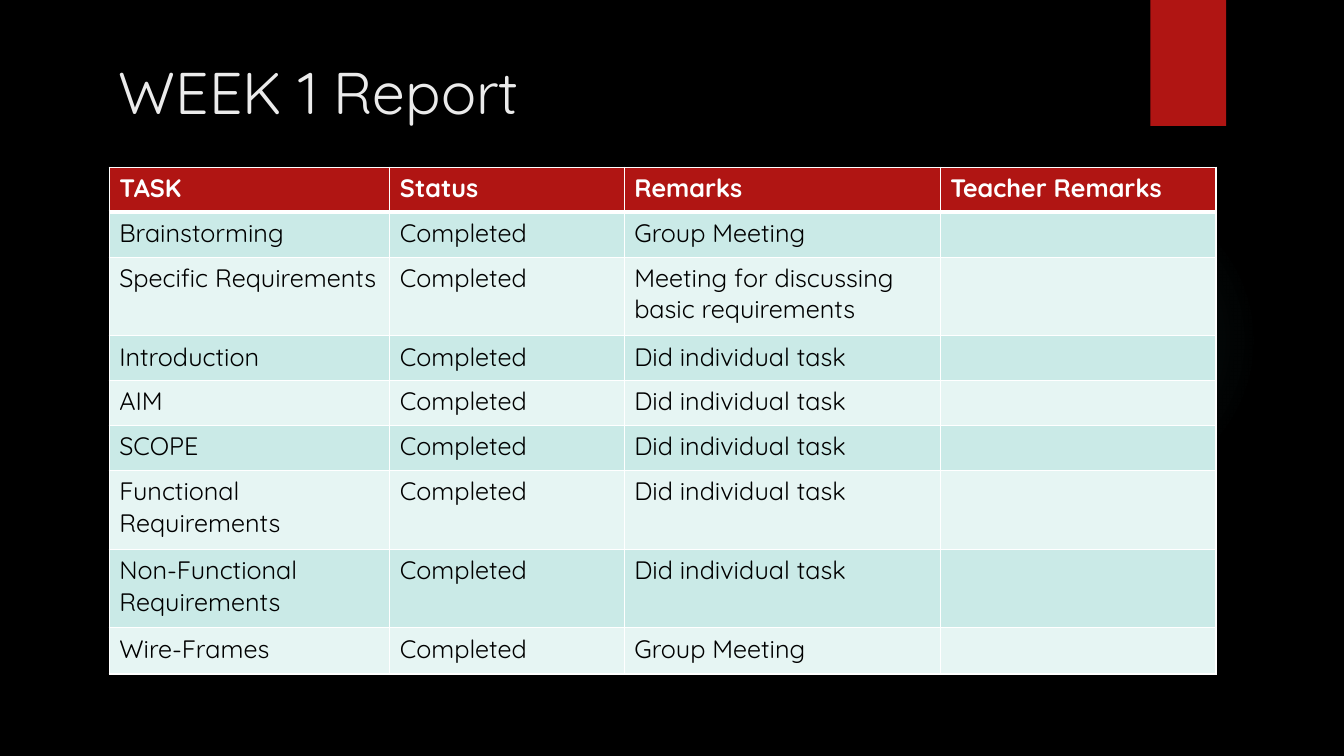
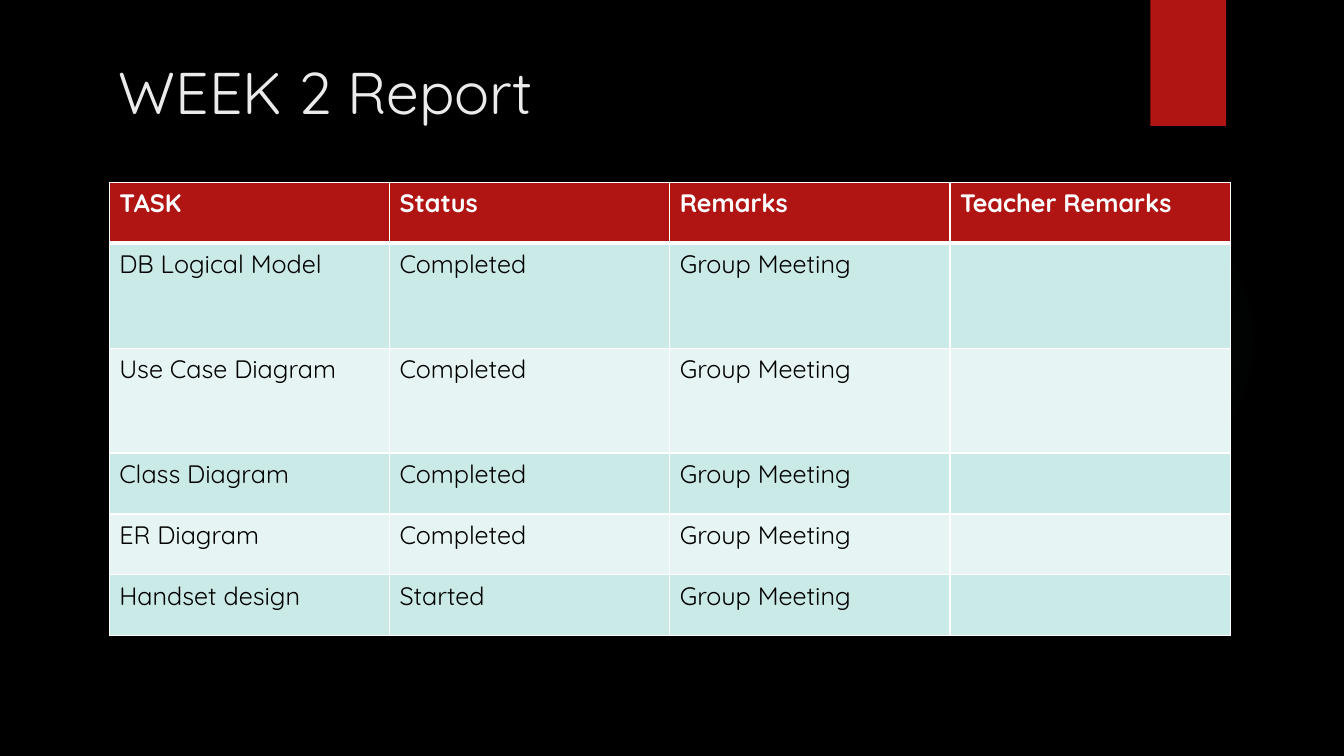
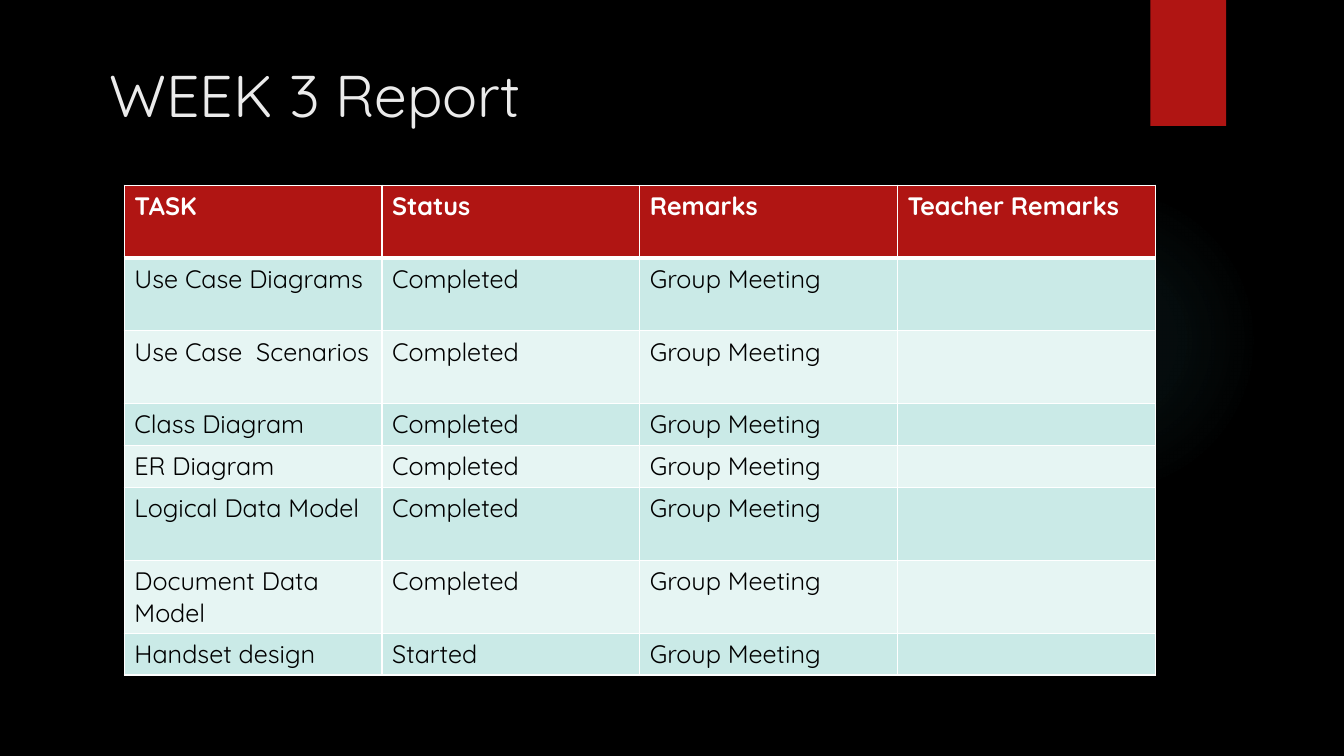
"""Build the three weekly report slides, each with a title and a task table."""

from dataclasses import dataclass

from pptx import Presentation
from pptx.dml.color import RGBColor
from pptx.enum.shapes import MSO_AUTO_SHAPE_TYPE as ShapeType
from pptx.enum.text import MSO_VERTICAL_ANCHOR as Anchor
from pptx.oxml import parse_xml
from pptx.oxml.ns import nsdecls
from pptx.slide import Slide
from pptx.table import _Cell as Cell
from pptx.text.text import TextFrame
from pptx.util import Pt

COLORS = {
    "background": "000000",
    "accent": "B01513",
    "glow": "50B9C1",
    "title": "EBEBEB",
    "header_text": "FFFFFF",
    "body_text": "000000",
    "border": "FFFFFF",
    "odd_row": "CAEAE7",
    "even_row": "E6F5F3",
}
FONT = "Quicksand"
HEADINGS = ("TASK", "Status", "Remarks", "Teacher Remarks")
GLOW_STOPS = ((0, 7), (36, 6), (69, 0))
THIN, THICK = 1, 3
GROUP, SOLO = "Group Meeting", "Did individual task"


@dataclass(frozen=True)
class Task:
    name: str
    height: float
    remarks: str = GROUP
    status: str = "Completed"


@dataclass(frozen=True)
class Report:
    title: str
    title_at: tuple[float, float]
    table_at: tuple[float, float]
    columns: tuple[float, ...]
    header_height: float
    tasks: tuple[Task, ...]


REPORTS = (
    Report(
        "WEEK 1 Report", (77.8, 17.3), (78, 119.5), (200.5, 167.4, 225.7, 197), 32.1,
        (
            Task("Brainstorming", 32.1),
            Task("Specific Requirements", 56.2, "Meeting for discussing basic requirements"),
            Task("Introduction", 32.1, SOLO),
            Task("AIM", 32.1, SOLO),
            Task("SCOPE", 32.1, SOLO),
            Task("Functional Requirements", 56.2, SOLO),
            Task("Non-Functional Requirements", 56.2, SOLO),
            Task("Wire-Frames", 33),
        ),
    ),
    Report(
        "WEEK 2 Report", (77.8, 17.3), (78, 130.2), (200.2,) * 4, 43.5,
        (
            Task("DB Logical Model", 75),
            Task("Use Case Diagram", 75),
            Task("Class Diagram", 43.5),
            Task("ER Diagram", 43.5),
            Task("Handset design", 43.5, status="Started"),
        ),
    ),
    Report(
        "WEEK 3 Report", (71.3, 19.8), (88.8, 132.3), (184.1,) * 4, 52,
        (
            Task("Use Case Diagrams", 52),
            Task("Use Case  Scenarios", 52),
            Task("Class Diagram", 30),
            Task("ER Diagram", 30),
            Task("Logical Data Model", 52),
            Task("Document Data Model", 52),
            Task("Handset design", 30, status="Started"),
        ),
    ),
)


def rgb(name: str) -> RGBColor:
    return RGBColor.from_string(COLORS[name])


def write(text_frame: TextFrame, text: str, size: float, color: str, bold: bool = False) -> None:
    text_frame.text = text
    for run in text_frame.paragraphs[0].runs:
        run.font.name = FONT
        run.font.size = Pt(size)
        run.font.bold = bold
        run.font.color.rgb = rgb(color)


def add_decorations(slide: Slide) -> None:
    glow = slide.shapes.add_shape(ShapeType.OVAL, Pt(677.5), Pt(131.8), Pt(221.8), Pt(221.8))
    stops = "".join(
        f'<a:gs pos="{position * 1000}"><a:srgbClr val="{COLORS["glow"]}">'
        f'<a:alpha val="{alpha * 1000}"/></a:srgbClr></a:gs>'
        for position, alpha in GLOW_STOPS
    )
    gradient = parse_xml(
        f'<a:gradFill {nsdecls("a")}><a:gsLst>{stops}</a:gsLst><a:path path="circle">'
        '<a:fillToRect l="50000" t="50000" r="50000" b="50000"/></a:path></a:gradFill>'
    )
    glow._element.spPr.insert(2, gradient)

    ribbon = slide.shapes.add_shape(ShapeType.RECTANGLE, Pt(821.8), Pt(0), Pt(54), Pt(90))
    ribbon.fill.solid()
    ribbon.fill.fore_color.rgb = rgb("accent")

    for shape in (glow, ribbon):
        shape.line.fill.background()
        shape.shadow.inherit = False


def add_title(slide: Slide, report: Report) -> None:
    left, top = report.title_at
    text_frame = slide.shapes.add_textbox(Pt(left), Pt(top), Pt(832.3), Pt(76.3)).text_frame
    text_frame.word_wrap = True
    text_frame.vertical_anchor = Anchor.BOTTOM
    write(text_frame, report.title, 42, "title")


def set_borders(cell: Cell, top: int, bottom: int) -> None:
    properties = cell._tc.get_or_add_tcPr()
    widths = {"lnL": THIN, "lnR": THIN, "lnT": top, "lnB": bottom}
    for index, (side, width) in enumerate(widths.items()):
        border = parse_xml(
            f'<a:{side} {nsdecls("a")} w="{Pt(width)}"><a:solidFill>'
            f'<a:srgbClr val="{COLORS["border"]}"/></a:solidFill></a:{side}>'
        )
        properties.insert(index, border)


def add_task_table(slide: Slide, report: Report) -> None:
    left, top = report.table_at
    heights = [report.header_height] + [task.height for task in report.tasks]
    rows = [HEADINGS] + [(task.name, task.status, task.remarks, "") for task in report.tasks]
    table = slide.shapes.add_table(
        len(rows), len(HEADINGS), Pt(left), Pt(top), Pt(sum(report.columns)), Pt(sum(heights))
    ).table
    table.horz_banding = False
    for column, width in zip(table.columns, report.columns):
        column.width = Pt(width)
    for row_index, (texts, height) in enumerate(zip(rows, heights)):
        table.rows[row_index].height = Pt(height)
        is_header = row_index == 0
        fill = "accent" if is_header else "odd_row" if row_index % 2 else "even_row"
        for column_index, text in enumerate(texts):
            cell = table.cell(row_index, column_index)
            cell.fill.solid()
            cell.fill.fore_color.rgb = rgb(fill)
            set_borders(cell, THICK if row_index == 1 else THIN, THICK if is_header else THIN)
            if text:
                write(cell.text_frame, text, 18, "header_text" if is_header else "body_text", is_header)


def main() -> None:
    presentation = Presentation()
    presentation.slide_width, presentation.slide_height = Pt(960), Pt(540)
    background = presentation.slide_master.background.fill
    background.solid()
    background.fore_color.rgb = rgb("background")
    for report in REPORTS:
        slide = presentation.slides.add_slide(presentation.slide_layouts[6])
        add_decorations(slide)
        add_title(slide, report)
        add_task_table(slide, report)
    presentation.save("out.pptx")


if __name__ == "__main__":
    main()
